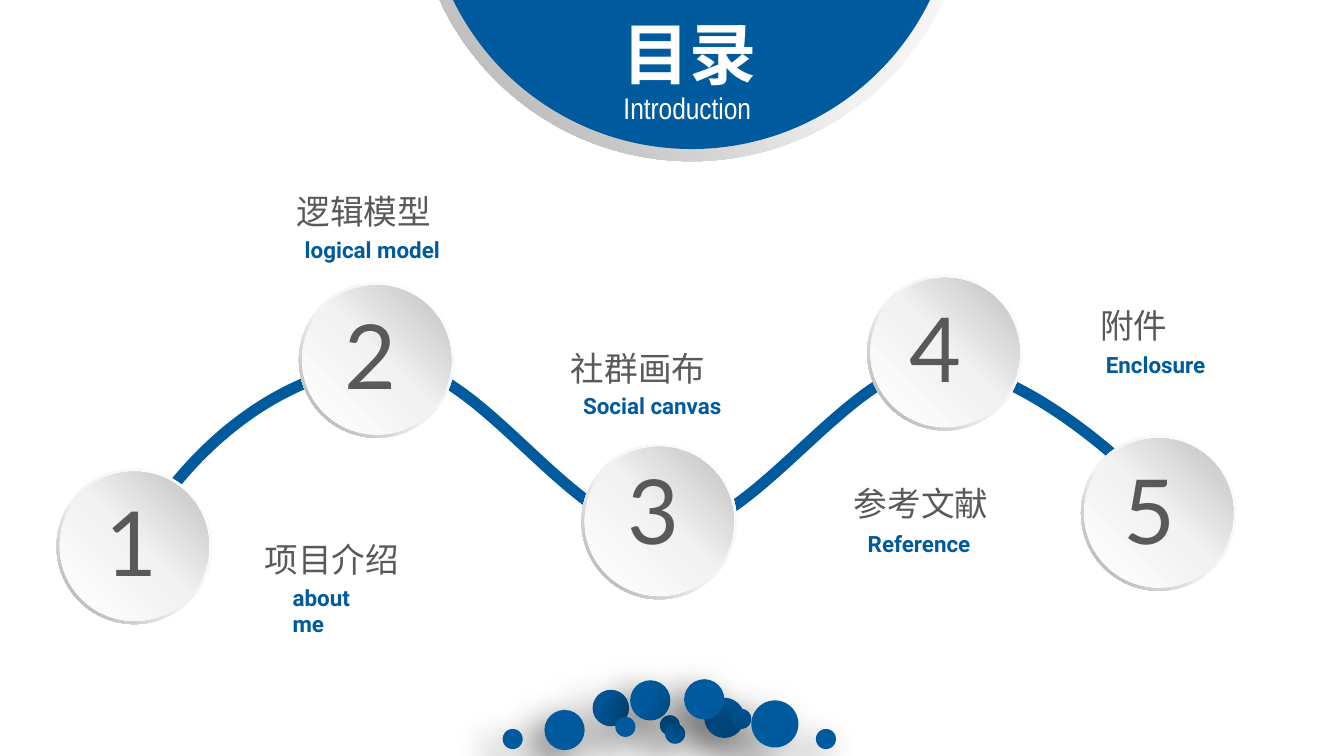
from copy import deepcopy

from lxml.etree import SubElement
from pptx import Presentation
from pptx.dml.color import RGBColor
from pptx.enum.shapes import MSO_SHAPE
from pptx.enum.text import MSO_ANCHOR, MSO_AUTO_SIZE, PP_ALIGN
from pptx.oxml.ns import qn
from pptx.util import Cm, Pt

BLUE = RGBColor(0x00, 0x5A, 0x9E)
GREY = RGBColor(0x59, 0x59, 0x59)
WHITE = RGBColor(0xFF, 0xFF, 0xFF)
PALE = RGBColor(0xF2, 0xF2, 0xF2)
SILVER = RGBColor(0xBF, 0xBF, 0xBF)
STEEL = RGBColor(0xA6, 0xA6, 0xA6)
BLACK = RGBColor(0x00, 0x00, 0x00)
CJK, LATIN, DIGIT, NARROW = "Noto Sans CJK SC", "Roboto", "Lato", "Arial Narrow"

# Lengths in cm. Stops: (position, colour); angles run counter-clockwise.
RIM = ([(0, WHITE), (0.55, PALE), (1, STEEL)], 225)
DISC = ([(0, WHITE), (0.51, PALE), (1, SILVER)], 45)

# number, centre, left and top of the digit box
NODES = [
    ("1", (2.54, 10.32), (1.75, 9.07)),
    ("2", (7.12, 6.80), (6.27, 5.54)),
    ("4", (17.86, 6.66), (16.94, 5.41)),
    ("3", (12.46, 9.85), (11.61, 8.46)),
    ("5", (21.90, 9.69), (20.98, 8.46)),
]
# text, (left, top, width), indent
TOPICS = [
    ("项目介绍", (4.47, 10.06, 4.50), 0.28),
    ("逻辑模型", (5.08, 3.48, 5.08), 0.28),
    ("社群画布", (10.26, 6.45, 5.13), 0.28),
    ("参考文献", (15.75, 8.99, 5.03), 0.14),
    ("附件", (20.12, 5.64, 5.03), 0.42),
]
CAPTIONS = [
    ("about me", (5.28, 10.90, 2.21), 0),
    ("logical model", (5.41, 4.34, 3.51), 0.1),
    ("Social canvas", (10.77, 7.29, 3.28), 0),
    ("Reference", (16.05, 9.88, 2.64), 0.1),
    ("Enclosure", (20.55, 6.50, 2.64), 0.1),
]
# Start point, then two handles and an end point per Bezier segment
WAVE = [
    (2.54, 10.24),
    (3.84, 8.03), (5.72, 6.91), (7.39, 6.88),
    (9.07, 6.86), (10.82, 10.08), (12.55, 10.08),
    (14.25, 10.08), (16.05, 6.88), (17.70, 6.88),
    (19.35, 6.88), (21.92, 9.17), (22.40, 10.11),
]
# Shadow: opacity %, blur pt, distance pt
SOFT, WIDE = (60, 20, 10), (50, 25, 15)
# left, top, diameter, shadow
DOTS = [
    (13.31, 13.18, 0.76, SOFT), (12.47, 13.51, 0.38, SOFT),
    (13.82, 13.39, 0.38, SOFT), (11.20, 13.03, 0.69, WIDE),
    (11.91, 12.85, 0.76, SOFT), (12.57, 13.67, 0.38, SOFT),
    (14.20, 13.23, 0.89, WIDE), (10.29, 13.41, 0.76, SOFT),
    (9.50, 13.77, 0.38, SOFT), (12.93, 12.83, 0.76, SOFT),
    (11.63, 13.54, 0.38, SOFT), (15.42, 13.77, 0.38, SOFT),
]


def write(s, text, font, size, color, bold=False, indent=0.0, align=PP_ALIGN.LEFT):
    tf = s.text_frame
    tf.word_wrap = True
    tf.auto_size = MSO_AUTO_SIZE.SHAPE_TO_FIT_TEXT
    tf.vertical_anchor = MSO_ANCHOR.TOP
    tf.margin_left = Cm(0.25 + indent)
    p = tf.paragraphs[0]
    p.alignment = align
    r = p.add_run()
    r.text = text
    r.font.name = font
    r.font.size = Pt(size)
    r.font.bold = bold
    r.font.color.rgb = color
    SubElement(r.font._element, qn("a:ea")).set("typeface", font)
    return p


def add_text(shapes, box, *args, **kwargs):
    return write(shapes.add_textbox(*map(Cm, box)), *args, **kwargs)


def add_round(shapes, kind, left, top, size):
    s = shapes.add_shape(kind, Cm(left), Cm(top), Cm(size), Cm(size))
    s.line.fill.background()
    s.shadow.inherit = False
    return s


def add_centred(shapes, kind, centre, size):
    return add_round(shapes, kind, centre[0] - size / 2, centre[1] - size / 2, size)


def shade(s, stops, angle):
    """Fill with a linear gradient of any number of stops."""
    s.fill.gradient()
    s.fill.gradient_angle = angle
    gs_list = s._element.find(".//" + qn("a:gsLst"))
    while len(gs_list) < len(stops):
        gs_list.append(deepcopy(gs_list[0]))
    for stop, (position, color) in zip(s.fill.gradient_stops, stops):
        stop.position = position
        stop.color.rgb = color


def paint(s, color):
    s.fill.solid()
    s.fill.fore_color.rgb = color


def add_plate(shapes, centre, rim_size, disc_size):
    """Add a shaded rim with a disc on it and return the disc."""
    rim = add_centred(shapes, MSO_SHAPE.DONUT, centre, rim_size)
    rim.adjustments[0] = 0.049
    shade(rim, *RIM)
    return add_centred(shapes, MSO_SHAPE.OVAL, centre, disc_size)


def cast_shadow(s, opacity, blur, distance):
    effects = s._element.spPr.find(qn("a:effectLst"))
    shadow = SubElement(effects, qn("a:outerShdw"), blurRad=str(Pt(blur)),
                        dist=str(Pt(distance)), dir=str(135 * 60000),
                        algn="tr", rotWithShape="0")
    color = SubElement(shadow, qn("a:srgbClr"), val=str(BLACK))
    SubElement(color, qn("a:alpha"), val=str(opacity * 1000))


def add_curve(shapes, points):
    """Draw a polyline through all points, then merge each three legs into a Bezier."""
    points = [(Cm(x), Cm(y)) for x, y in points]
    builder = shapes.build_freeform(*points[0])
    builder.add_line_segments(points[1:], close=False)
    s = builder.convert_to_shape()
    legs = s._element.xpath(".//a:lnTo")
    for i in range(0, len(legs), 3):
        first, *others = legs[i:i + 3]
        first.tag = qn("a:cubicBezTo")
        for leg in others:
            first.append(leg[0])
            leg.getparent().remove(leg)
    s.fill.background()
    s.line.color.rgb = BLUE
    s.line.width = Pt(6)
    s.shadow.inherit = False


def main():
    prs = Presentation()
    prs.slide_width, prs.slide_height = Cm(25.4), Cm(14.28)
    slide = prs.slides.add_slide(prs.slide_layouts[5])
    shapes = slide.shapes

    add_curve(shapes, WAVE)
    for text, box, indent in TOPICS:
        add_text(shapes, (*box, 1.02), text, CJK, 18, GREY, indent=indent)
    for text, box, indent in CAPTIONS:
        add_text(shapes, (*box, 0.76), text, LATIN, 12, BLUE, bold=True, indent=indent)
    for number, centre, corner in NODES:
        node = shapes.add_group_shape().shapes
        shade(add_plate(node, centre, 2.94, 2.82), *DISC)
        add_text(node, (*corner, 1.83, 2.31), number, DIGIT, 48, GREY)

    paint(add_plate(shapes.add_group_shape().shapes, (13.07, -2.2), 10.49, 10.03), BLUE)
    title = shapes.title
    title.left, title.top, title.width, title.height = map(Cm, (10.59, 0.43, 4.90, 1.42))
    p = write(title, "目录", CJK, 36, WHITE, bold=True, align=PP_ALIGN.CENTER)
    p.line_spacing = 0.8
    tf = title.text_frame
    tf.margin_left = tf.margin_right = Cm(0.18)
    tf.margin_top = tf.margin_bottom = Cm(0.1)
    shapes._spTree.append(title._element)  # bring in front of the plate
    add_text(shapes, (10.69, 1.57, 4.60, 0.94), "Introduction", NARROW, 16, WHITE,
             align=PP_ALIGN.CENTER)

    for left, top, size, shadow in DOTS:
        dot = add_round(shapes, MSO_SHAPE.OVAL, left, top, size)
        paint(dot, BLUE)
        cast_shadow(dot, *shadow)

    prs.save("out.pptx")


if __name__ == "__main__":
    main()
